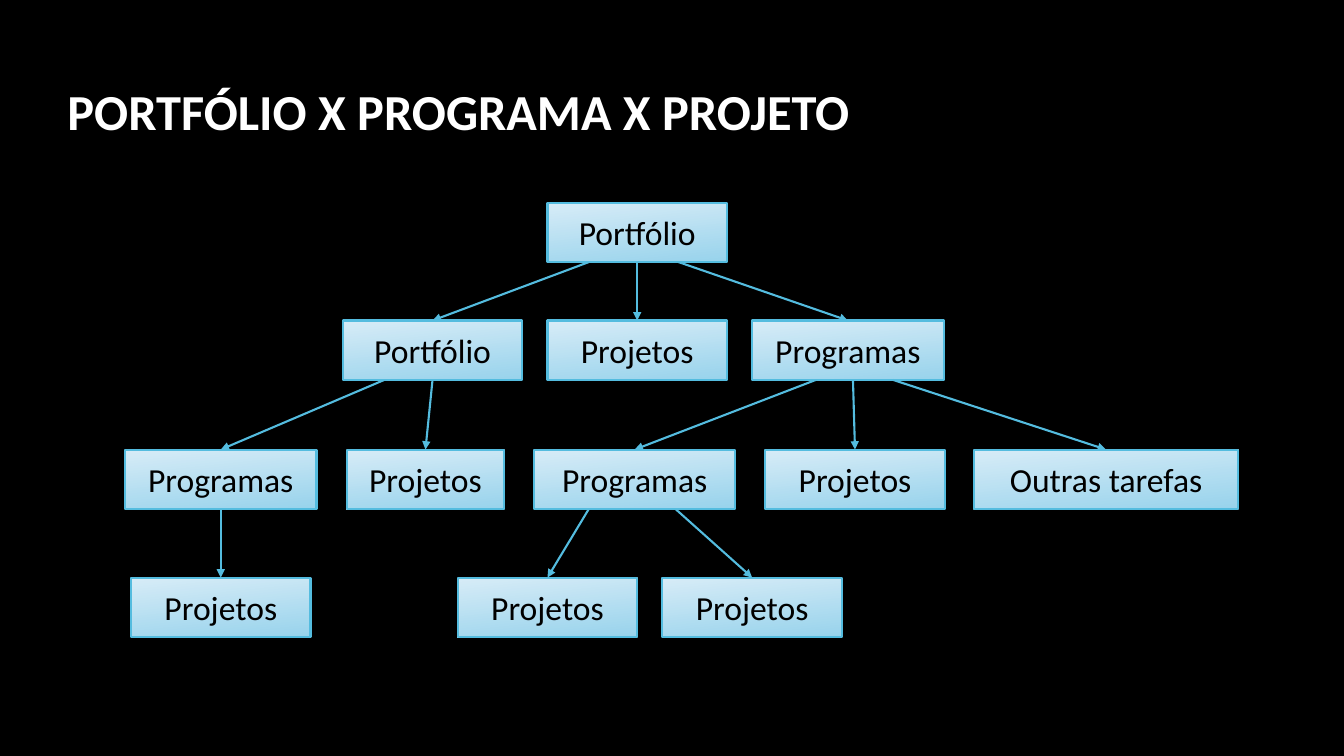
from dataclasses import dataclass

from lxml import etree
from pptx import Presentation
from pptx import util as u
from pptx.dml.color import RGBColor
from pptx.enum import shapes, text
from pptx.oxml import ns
from pptx.shapes.autoshape import Shape
from pptx.slide import Slide

PX = 9144  # EMU per px, 100 px to the inch
FONT = "Calibri"
BLACK = RGBColor(0x00, 0x00, 0x00)
WHITE = RGBColor(0xFF, 0xFF, 0xFF)
PALE_BLUE = RGBColor(0xD7, 0xEC, 0xF7)
SKY_BLUE = RGBColor(0x98, 0xD3, 0xEC)
LINE_BLUE = RGBColor(0x54, 0xBC, 0xDF)
LINE_WIDTH = u.Pt(1.5)
BOX_HEIGHT = 59
LEVEL_TOPS = (201, 318, 446, 573)
TOP_SITE, BOTTOM_SITE = 0, 2


@dataclass(frozen=True)
class Box:
    label: str
    level: int
    left: int
    width: int = 178

    @property
    def top(self) -> int:
        return LEVEL_TOPS[self.level]

    @property
    def bottom(self) -> int:
        return self.top + BOX_HEIGHT

    @property
    def center(self) -> int:
        return self.left + self.width // 2


@dataclass(frozen=True)
class Arrow:
    parent: Box
    child: Box
    start_x: int


def px(length: int) -> u.Emu:
    return u.Emu(length * PX)


def format_text(shape: Shape, size: int, color: RGBColor, bold: bool = False) -> None:
    shape.text_frame.vertical_anchor = text.MSO_ANCHOR.MIDDLE
    font = shape.text_frame.paragraphs[0].runs[0].font
    font.name, font.size, font.bold = FONT, u.Pt(size), bold
    font.color.rgb = color


def add_title(slide: Slide, title: str) -> None:
    shape = slide.shapes.add_textbox(px(57), px(39), px(1221), px(148))
    shape.text_frame.word_wrap = True
    shape.text_frame.text = title
    shape.text_frame.paragraphs[0].line_spacing = 0.9
    format_text(shape, 36, WHITE, bold=True)


def add_box(slide: Slide, box: Box) -> Shape:
    shape = slide.shapes.add_shape(
        shapes.MSO_SHAPE.RECTANGLE, px(box.left), px(box.top), px(box.width), px(BOX_HEIGHT)
    )
    shape.shadow.inherit = False
    shape.fill.gradient()
    shape.fill.gradient_angle = 360 - 84  # counter-clockwise
    for stop, color in zip(shape.fill.gradient_stops, (PALE_BLUE, SKY_BLUE)):
        stop.color.rgb = color
    shape.line.color.rgb = LINE_BLUE
    shape.line.width = LINE_WIDTH
    shape.text_frame.text = box.label
    shape.text_frame.paragraphs[0].alignment = text.PP_ALIGN.CENTER
    format_text(shape, 24, BLACK)
    return shape


def add_arrow(slide: Slide, arrow: Arrow, drawn: dict[Box, Shape]) -> None:
    parent, child = arrow.parent, arrow.child
    connector = slide.shapes.add_connector(
        shapes.MSO_CONNECTOR.STRAIGHT,
        px(arrow.start_x), px(parent.bottom), px(child.center), px(child.top),
    )
    if arrow.start_x == parent.center:
        connector.begin_connect(drawn[parent], BOTTOM_SITE)
    connector.end_connect(drawn[child], TOP_SITE)
    connector.line.color.rgb = LINE_BLUE
    connector.line.width = LINE_WIDTH
    etree.SubElement(connector.line._get_or_add_ln(), ns.qn("a:tailEnd"), type="triangle")
    etree.SubElement(connector._element.spPr, ns.qn("a:effectLst"))


# Boxes, level by level
ROOT = Box("Portfólio", 0, 543)
PORTFOLIO = Box("Portfólio", 1, 340)
ROOT_PROJECTS = Box("Projetos", 1, 543)
PROGRAMS = Box("Programas", 1, 746, 190)
LEFT_PROGRAMS = Box("Programas", 2, 124, 190)
LEFT_PROJECTS = Box("Projetos", 2, 344, 156)
INNER_PROGRAMS = Box("Programas", 2, 530, 199)
RIGHT_PROJECTS = Box("Projetos", 2, 759)
OTHER_TASKS = Box("Outras tarefas", 2, 966, 262)
LEFT_LEAF = Box("Projetos", 3, 130)
INNER_LEAF_1 = Box("Projetos", 3, 454)
INNER_LEAF_2 = Box("Projetos", 3, 657)
BOXES = (
    ROOT, PORTFOLIO, ROOT_PROJECTS, PROGRAMS, LEFT_PROGRAMS, LEFT_PROJECTS,
    INNER_PROGRAMS, RIGHT_PROJECTS, OTHER_TASKS, LEFT_LEAF, INNER_LEAF_1, INNER_LEAF_2,
)

# Arrows from each parent's lower edge to the child's top middle
ARROWS = (
    Arrow(ROOT, PORTFOLIO, 584),
    Arrow(ROOT, ROOT_PROJECTS, ROOT.center),
    Arrow(ROOT, PROGRAMS, 673),
    Arrow(PORTFOLIO, LEFT_PROGRAMS, 381),
    Arrow(PORTFOLIO, LEFT_PROJECTS, PORTFOLIO.center),
    Arrow(PROGRAMS, INNER_PROGRAMS, 809),
    Arrow(PROGRAMS, RIGHT_PROJECTS, 846),
    Arrow(PROGRAMS, OTHER_TASKS, 886),
    Arrow(LEFT_PROGRAMS, LEFT_LEAF, LEFT_PROGRAMS.center),
    Arrow(INNER_PROGRAMS, INNER_LEAF_1, 584),
    Arrow(INNER_PROGRAMS, INNER_LEAF_2, 670),
)


def main() -> None:
    presentation = Presentation()
    presentation.slide_width, presentation.slide_height = px(1333), px(750)
    slide = presentation.slides.add_slide(presentation.slide_layouts[6])
    slide.background.fill.solid()
    slide.background.fill.fore_color.rgb = BLACK

    add_title(slide, "PORTFÓLIO X PROGRAMA X PROJETO")
    drawn = {box: add_box(slide, box) for box in BOXES}
    for arrow in ARROWS:
        add_arrow(slide, arrow, drawn)

    presentation.save("out.pptx")


if __name__ == "__main__":
    main()
